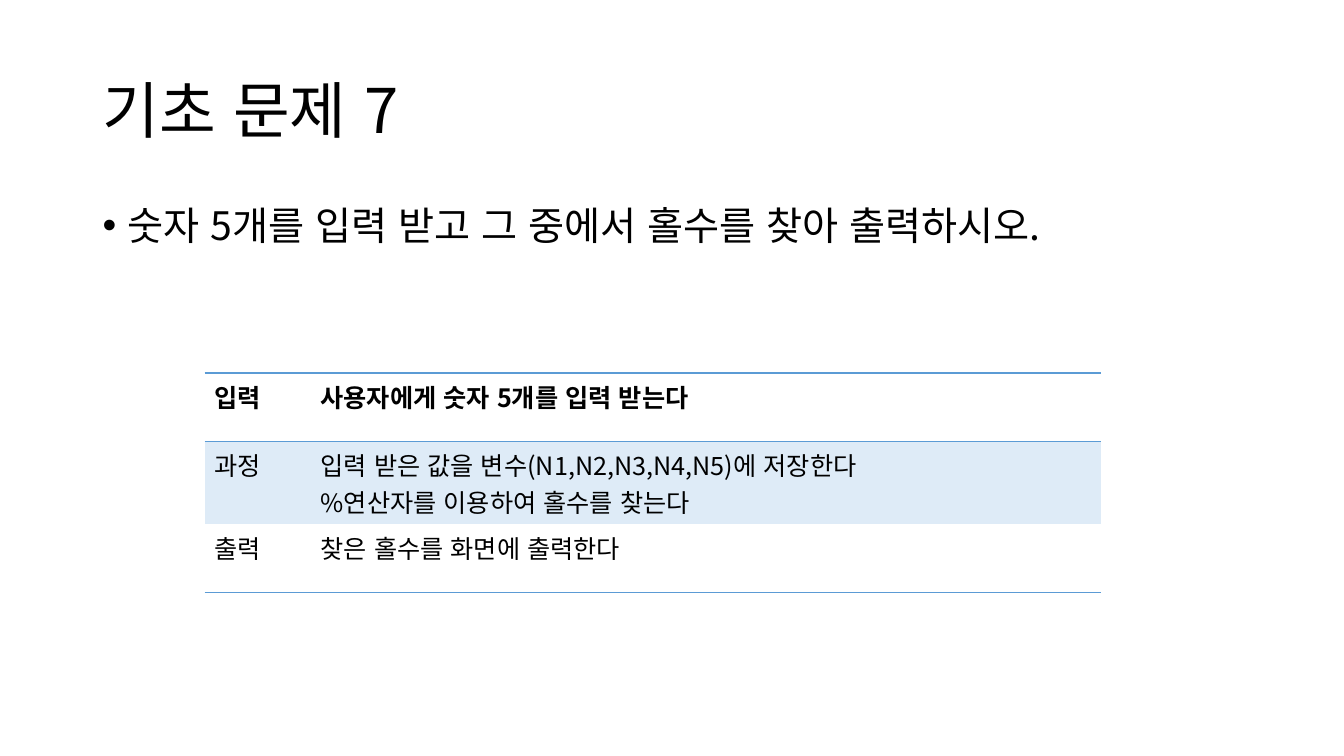
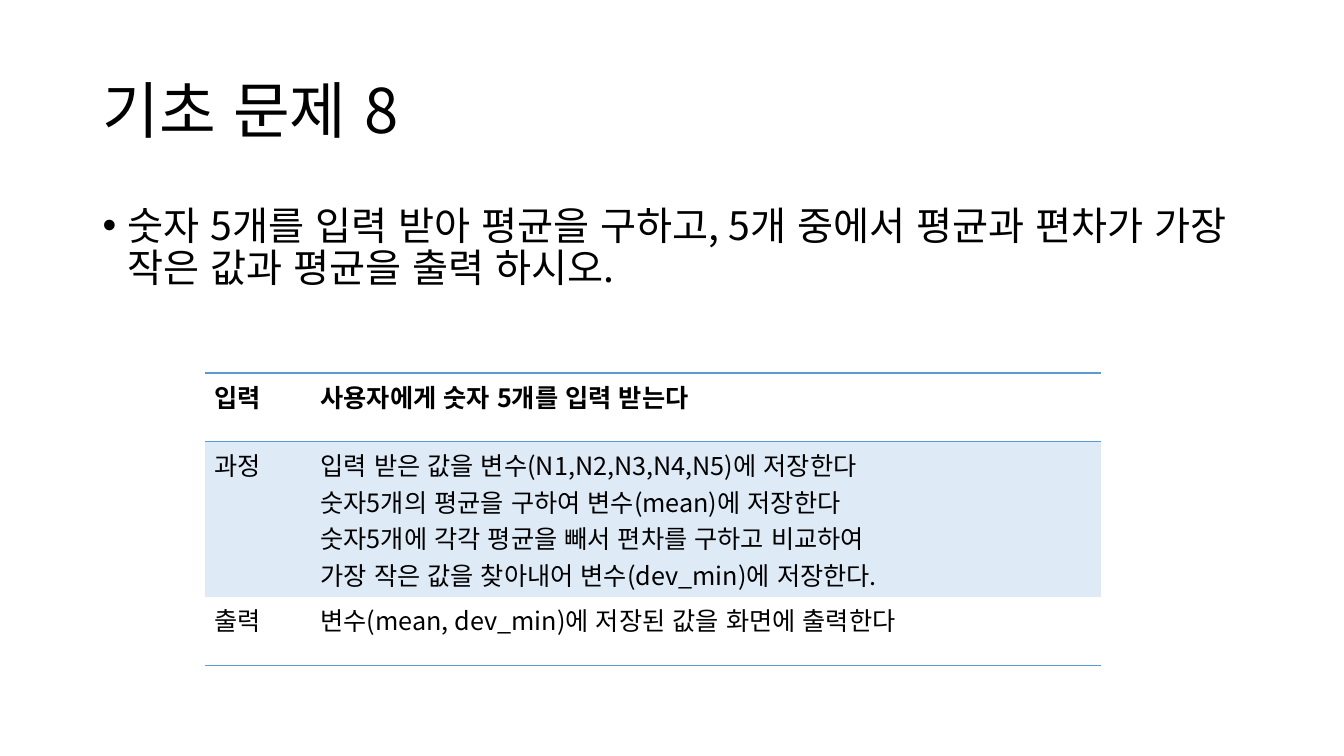
from lxml.etree import SubElement
from pptx import Presentation
from pptx.dml.color import RGBColor
from pptx.enum.lang import MSO_LANGUAGE_ID
from pptx.enum.text import MSO_ANCHOR
from pptx.oxml.ns import qn
from pptx.util import Inches, Pt

FONT = "Noto Sans CJK KR"
INK, LINE, BAND = "000000", "5B9BD5", "DEEBF7"
LEFT, WIDTH = 0.92, 11.5
COLS, ROW = (1.05, 7.84), 0.68
PAD, STEP = 0.1, 0.36

TASKS = [
    ("기초 문제 7",
     "숫자 5개를 입력 받고 그 중에서 홀수를 찾아 출력하시오.",
     [("입력", "사용자에게 숫자 5개를 입력 받는다"),
      ("과정", "입력 받은 값을 변수(N1,N2,N3,N4,N5)에 저장한다\n"
               "%연산자를 이용하여 홀수를 찾는다"),
      ("출력", "찾은 홀수를 화면에 출력한다")]),
    ("기초 문제 8",
     "숫자 5개를 입력 받아 평균을 구하고, 5개 중에서 평균과 편차가 "
     "가장 작은 값과 평균을 출력 하시오.",
     [("입력", "사용자에게 숫자 5개를 입력 받는다"),
      ("과정", "입력 받은 값을 변수(N1,N2,N3,N4,N5)에 저장한다\n"
               "숫자5개의 평균을 구하여 변수(mean)에 저장한다\n"
               "숫자5개에 각각 평균을 빼서 편차를 구하고 비교하여\n"
               "가장 작은 값을 찾아내어 변수(dev_min)에 저장한다."),
      ("출력", "변수(mean, dev_min)에 저장된 값을 화면에 출력한다")]),
]


def color(code):
    return RGBColor.from_string(code)


def tall(words):
    """Row height in inches that holds every line of the words."""
    return max(ROW, PAD + STEP * len(words.splitlines()))


class Deck:
    """Holds the shared style and the current slide."""

    def __init__(self):
        self.prs = Presentation()
        self.prs.slide_width = Inches(13.33)
        self.prs.slide_height = Inches(7.5)
        self.slide = None

    def page(self):
        self.slide = self.prs.slides.add_slide(self.prs.slide_layouts[6])

    def style(self, frame, size, bold=False):
        for para in frame.paragraphs:
            for run in para.runs:
                font = run.font
                font.size, font.bold, font.name = Pt(size), bold, FONT
                font.color.rgb = color(INK)
                font.language_id = MSO_LANGUAGE_ID.KOREAN
                SubElement(font._element, qn("a:ea"), typeface=FONT)

    def text(self, words, top, height, size):
        box = self.slide.shapes.add_textbox(
            Inches(LEFT), Inches(top), Inches(WIDTH), Inches(height))
        frame = box.text_frame
        frame.word_wrap = True
        frame.text = words
        frame.paragraphs[0].line_spacing = 0.9
        self.style(frame, size)
        return frame

    def title(self, words):
        frame = self.text(words, 0.4, 1.45, 44)
        frame.vertical_anchor = MSO_ANCHOR.MIDDLE

    def bullet(self, words):
        frame = self.text(words, 2, 4.76, 28)
        props = frame.paragraphs[0]._p.get_or_add_pPr()
        props.set("marL", str(Inches(0.25)))
        props.set("indent", str(-Inches(0.25)))
        SubElement(props, qn("a:buFont"), typeface="Arial")
        SubElement(props, qn("a:buChar"), char="•")

    def border(self, cell, sides):
        """Rule the named sides and clear the others."""
        props = cell._tc.get_or_add_tcPr()
        for side in "LRTB":
            line = SubElement(props, qn("a:ln" + side), w=str(Pt(1)))
            if side in sides:
                fill = SubElement(line, qn("a:solidFill"))
                SubElement(fill, qn("a:srgbClr"), val=LINE)
            else:
                SubElement(line, qn("a:noFill"))

    def table(self, rows):
        highs = [tall(words) for _, words in rows]
        grid = self.slide.shapes.add_table(
            len(rows), len(COLS), Inches(2.03), Inches(3.7),
            Inches(sum(COLS)), Inches(sum(highs))).table
        grid.horz_banding = False
        grid.first_row = False
        for col, width in zip(grid.columns, COLS):
            col.width = Inches(width)
        for line, high in zip(grid.rows, highs):
            line.height = Inches(high)
        sides = ("TB", "T", "B")
        for r, row in enumerate(rows):
            for c, words in enumerate(row):
                cell = grid.cell(r, c)
                cell.text_frame.text = words
                self.style(cell.text_frame, 18, bold=r == 0)
                self.border(cell, sides[r])
                if r == 1:
                    cell.fill.solid()
                    cell.fill.fore_color.rgb = color(BAND)
                else:
                    cell.fill.background()


def main():
    deck = Deck()
    for title, task, rows in TASKS:
        deck.page()
        deck.title(title)
        deck.bullet(task)
        deck.table(rows)
    deck.prs.save("out.pptx")


if __name__ == "__main__":
    main()
